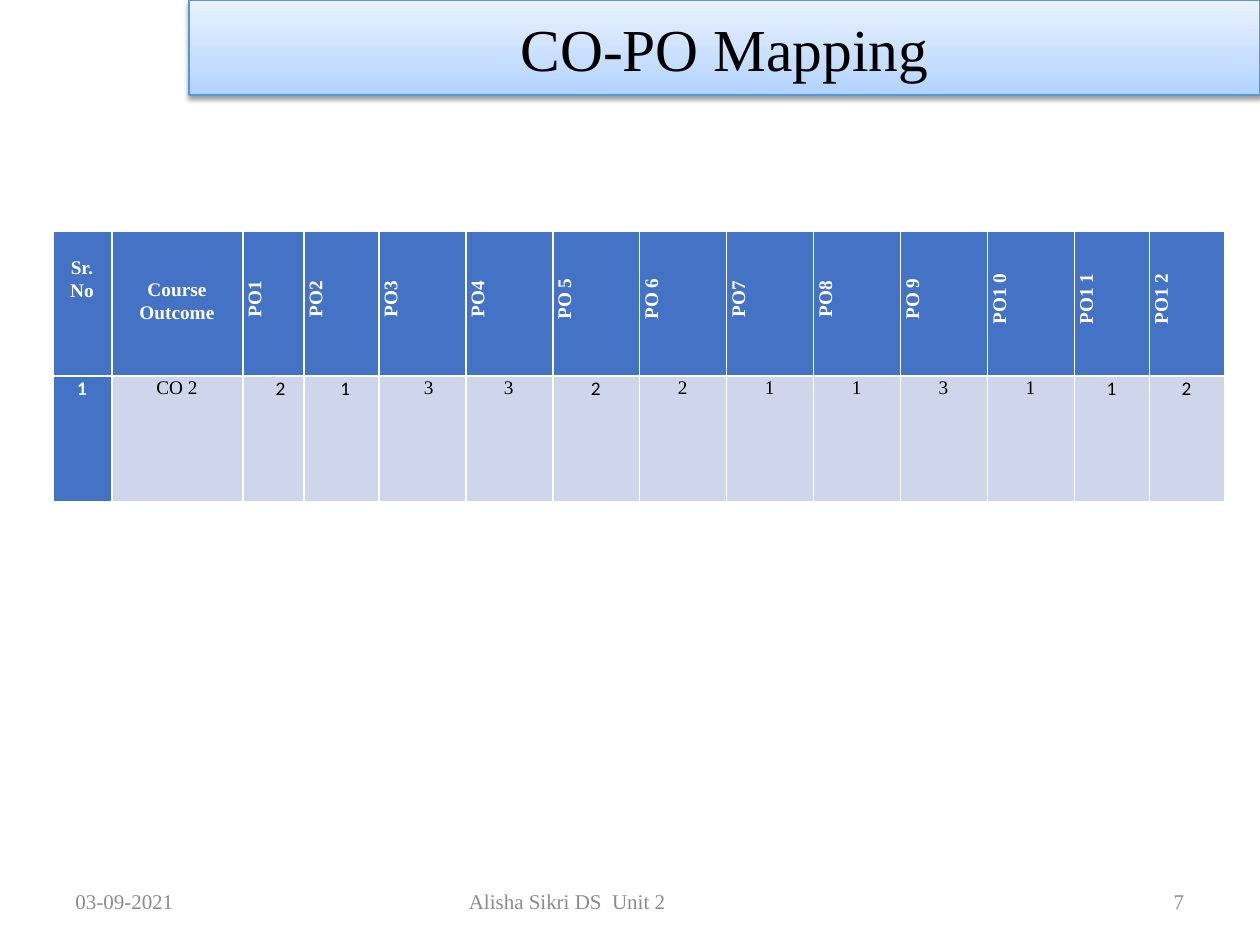
"""Build the CO-PO mapping slide."""
from copy import deepcopy
from dataclasses import dataclass

from lxml import etree
from pptx import Presentation
from pptx import util as u
from pptx.dml.color import RGBColor
from pptx.enum import shapes, text
from pptx.oxml import ns

PX = 914400 / 126


def px(n: int) -> u.Emu:
    return u.Emu(round(n * PX))


@dataclass(frozen=True)
class Theme:
    serif: str = "Times New Roman"
    sans: str = "Calibri"
    black: str = "000000"
    white: str = "FFFFFF"
    gray: str = "8C8C8C"
    head: str = "4472C4"
    body: str = "CFD5EA"
    edge: str = "5698D3"
    fade: tuple = ((0, "B0D2FF"), (0.35, "C7DEFF"), (1, "EAF2FF"))
    title: int = 34
    cell: int = 11
    foot: int = 12


@dataclass(frozen=True)
class Foot:
    words: str
    left: int
    width: int
    align: str
    inset: int = 13


@dataclass(frozen=True)
class Course:
    name: str
    width: int
    score: str
    font: str
    shift: int = 0


T = Theme()
FEET = (
    Foot("03-09-2021", 63, 294, "LEFT"),
    Foot("Alisha Sikri DS  Unit 2", 431, 399, "CENTER", 139),
    Foot("7", 903, 294, "RIGHT"),
)
GOALS = (
    Course("PO1", 61, "2", T.sans, 15),
    Course("PO2", 75, "1", T.sans, 9),
    Course("PO3", 87, "3", T.serif, 14),
    Course("PO4", 87, "3", T.serif),
    Course("PO 5", 87, "2", T.sans),
    Course("PO 6", 87, "2", T.serif),
    Course("PO7", 87, "1", T.serif),
    Course("PO8", 87, "1", T.serif),
    Course("PO 9", 87, "3", T.serif),
    Course("PO1 0", 87, "1", T.serif),
    Course("PO1 1", 75, "1", T.sans),
    Course("PO1 2", 75, "2", T.sans),
)


def write(frame, words: str, size: int, color: str = T.black, font: str = T.serif,
          bold: bool = False, align: str = "CENTER", shift: int = 0,
          lead: float = 1.0) -> None:
    frame.word_wrap = True
    for i, line in enumerate(words.split("\n")):
        para = frame.add_paragraph() if i else frame.paragraphs[0]
        para.alignment = text.PP_ALIGN[align]
        para.line_spacing = lead
        if shift:
            para._p.get_or_add_pPr().set("marL", str(px(shift)))
        run = para.add_run()
        run.text = line
        run.font.name, run.font.size, run.font.bold = font, u.Pt(size), bold
        run.font.color.rgb = RGBColor.from_string(color)


def put(cell, words: str, fill: str, top: int = 0, turn: bool = False, **form) -> None:
    cell.margin_left, cell.margin_right = px(10), px(11)
    cell.margin_top, cell.margin_bottom = px(top), 0
    cell.fill.solid()
    cell.fill.fore_color.rgb = RGBColor.from_string(fill)
    if turn:
        cell._tc.get_or_add_tcPr().set("vert", "vert270")
    write(cell.text_frame, words, T.cell, lead=1.06, **form)


def grid(slide) -> None:
    wide = [59, 131] + [g.width for g in GOALS]
    frame = slide.shapes.add_table(2, len(wide), px(53), px(231), px(sum(wide)), px(271))
    table = frame.table
    table.first_col = True
    for col, width in zip(table.columns, wide):
        col.width = px(width)
    for row, high in zip(table.rows, (145, 126)):
        row.height = px(high)
    bold = dict(fill=T.head, color=T.white, bold=True)
    put(table.cell(0, 0), "Sr.\nNo", top=25, **bold)
    put(table.cell(0, 1), "Course Outcome", top=47, **bold)
    put(table.cell(1, 0), "1", font=T.sans, **bold)
    put(table.cell(1, 1), "CO 2", T.body)
    for i, goal in enumerate(GOALS, 2):
        put(table.cell(0, i), goal.name, turn=True, shift=10, **bold)
        put(table.cell(1, i), goal.score, T.body, font=goal.font, shift=goal.shift)


def banner(slide) -> None:
    box = slide.shapes.add_shape(shapes.MSO_SHAPE.RECTANGLE,
                                 px(189), 0, px(1071), px(95))
    box.fill.gradient()
    box.fill.gradient_angle = 90
    stops = box._element.spPr.find(".//" + ns.qn("a:gsLst"))
    stops.append(deepcopy(stops[0]))
    for stop, (spot, color) in zip(box.fill.gradient_stops, T.fade):
        stop.position = spot
        stop.color.rgb = RGBColor.from_string(color)
    box.line.color.rgb = RGBColor.from_string(T.edge)
    box.line.width = u.Pt(0.75)
    box.shadow.inherit = False
    glow = box._element.spPr.find(ns.qn("a:effectLst"))
    shade = etree.SubElement(glow, ns.qn("a:outerShdw"), blurRad=str(u.Pt(3.1)),
                             dist=str(u.Pt(1.6)), dir="5400000", rotWithShape="0")
    tint = etree.SubElement(shade, ns.qn("a:srgbClr"), val=T.black)
    etree.SubElement(tint, ns.qn("a:alpha"), val="38000")
    box.text_frame.vertical_anchor = text.MSO_ANCHOR.MIDDLE
    write(box.text_frame, "CO-PO Mapping", T.title)


def footer(slide, foot: Foot) -> None:
    box = slide.shapes.add_textbox(px(foot.left), px(876), px(foot.width), px(50))
    frame = box.text_frame
    frame.margin_right = px(foot.inset)
    frame.vertical_anchor = text.MSO_ANCHOR.MIDDLE
    write(frame, foot.words, T.foot, color=T.gray, align=foot.align)


def main() -> None:
    deck = Presentation()
    deck.slide_width, deck.slide_height = px(1260), px(945)
    slide = deck.slides.add_slide(deck.slide_layouts[6])
    for foot in FEET:
        footer(slide, foot)
    grid(slide)
    banner(slide)
    deck.save("out.pptx")


if __name__ == "__main__":
    main()
